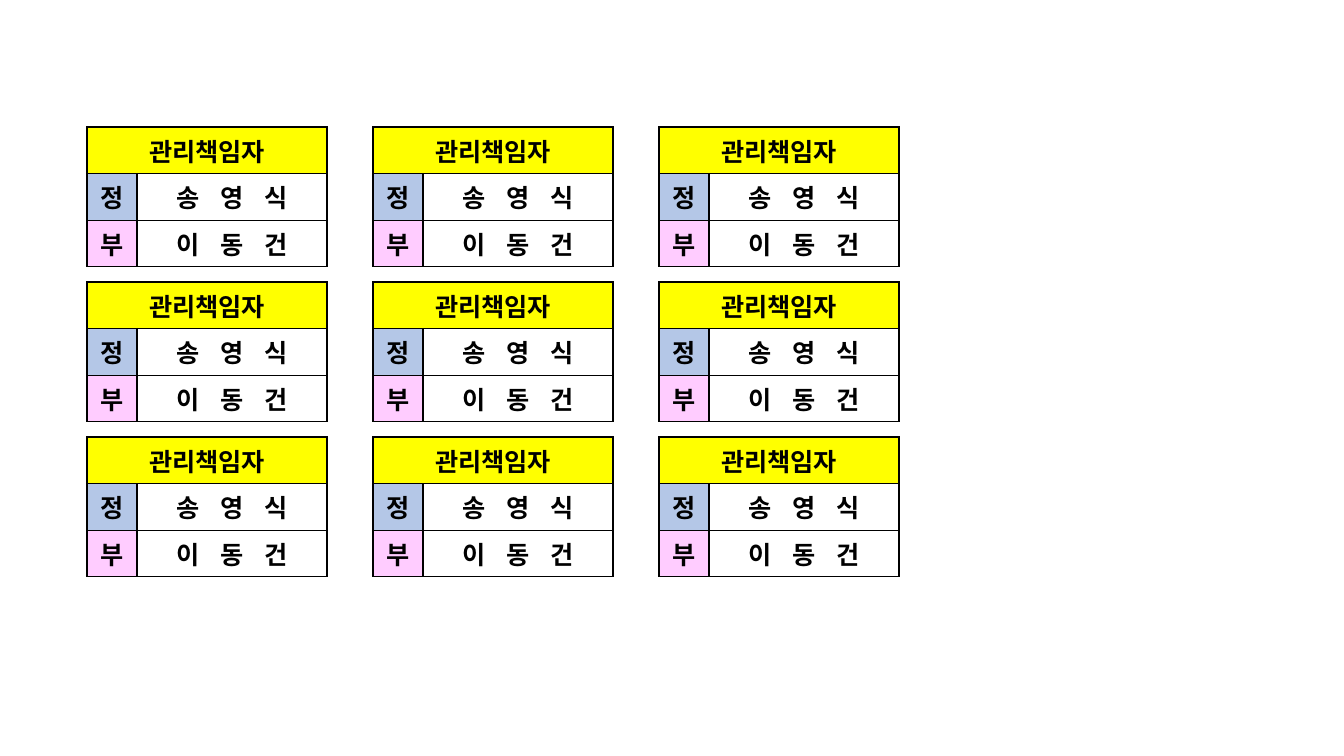
import lxml.etree
import pptx
import pptx.dml.color
import pptx.enum.text
import pptx.oxml.ns
import pptx.util

EMU_PER_PX = 914400 / 100.8
FONT = "Noto Sans CJK KR"
BLACK, WHITE = "000000", "FFFFFF"
YELLOW, BLUE, PINK = "FFFF00", "B4C7E7", "FFCCFF"

LEFT, TOP = 87, 127
COLUMN_PITCH, ROW_PITCH = 286, 155
ROLE_WIDTH, NAME_WIDTH, ROW_HEIGHT = 50, 190, 41
NAME_SPACING = 550  # hundredths of a point

TITLE = "관리책임자"
MANAGERS = [("정", BLUE, "송 영 식"), ("부", PINK, "이 동 건")]


def px(length):
    return pptx.util.Emu(round(length * EMU_PER_PX))


def color(value):
    return pptx.dml.color.RGBColor.from_string(value)


def add_child(parent, tag, **attributes):
    child = lxml.etree.SubElement(parent, pptx.oxml.ns.qn(tag))
    for key, value in attributes.items():
        child.set(key, value)
    return child


def add_run(paragraph, text, spacing=0):
    run = paragraph.add_run()
    run.text = text
    run.font.size = pptx.util.Pt(18)
    run.font.bold = True
    run.font.color.rgb = color(BLACK)
    run.font.name = FONT
    properties = run.font._element
    add_child(properties, "a:ea", typeface=FONT)
    if spacing:
        properties.set("spc", str(spacing))


def draw_borders(cell):
    properties = cell._tc.get_or_add_tcPr()
    for side in ("a:lnL", "a:lnR", "a:lnT", "a:lnB"):
        line = add_child(properties, side, w=str(pptx.util.Pt(1)))
        add_child(add_child(line, "a:solidFill"), "a:srgbClr", val=BLACK)


def fill_cell(cell, fill, text, spacing=0):
    """Write centred text; spacing widens every gap but not the end."""
    cell.fill.solid()
    cell.fill.fore_color.rgb = color(fill)
    cell.vertical_anchor = pptx.enum.text.MSO_ANCHOR.MIDDLE
    paragraph = cell.text_frame.paragraphs[0]
    paragraph.alignment = pptx.enum.text.PP_ALIGN.CENTER
    if spacing:
        add_run(paragraph, text[:-1], spacing)
        add_run(paragraph, text[-1])
    else:
        add_run(paragraph, text)


def add_manager_label(slide, left, top):
    row_count = 1 + len(MANAGERS)
    label = slide.shapes.add_table(
        row_count, 2, px(left), px(top),
        px(ROLE_WIDTH + NAME_WIDTH), px(ROW_HEIGHT * row_count)).table
    label.first_row = label.horz_banding = False
    for column, width in zip(label.columns, (ROLE_WIDTH, NAME_WIDTH)):
        column.width = px(width)
    for row in label.rows:
        row.height = px(ROW_HEIGHT)
    for cell in label.iter_cells():
        draw_borders(cell)

    label.cell(0, 0).merge(label.cell(0, 1))
    fill_cell(label.cell(0, 0), YELLOW, TITLE)
    for row, (role, fill, name) in enumerate(MANAGERS, start=1):
        fill_cell(label.cell(row, 0), fill, role)
        fill_cell(label.cell(row, 1), WHITE, name, NAME_SPACING)


def main():
    presentation = pptx.Presentation()
    presentation.slide_width = px(1344)
    presentation.slide_height = px(756)
    slide = presentation.slides.add_slide(presentation.slide_layouts[6])
    for column in range(3):
        for row in range(3):
            add_manager_label(slide, LEFT + column * COLUMN_PITCH,
                              TOP + row * ROW_PITCH)
    presentation.save("out.pptx")


if __name__ == "__main__":
    main()
